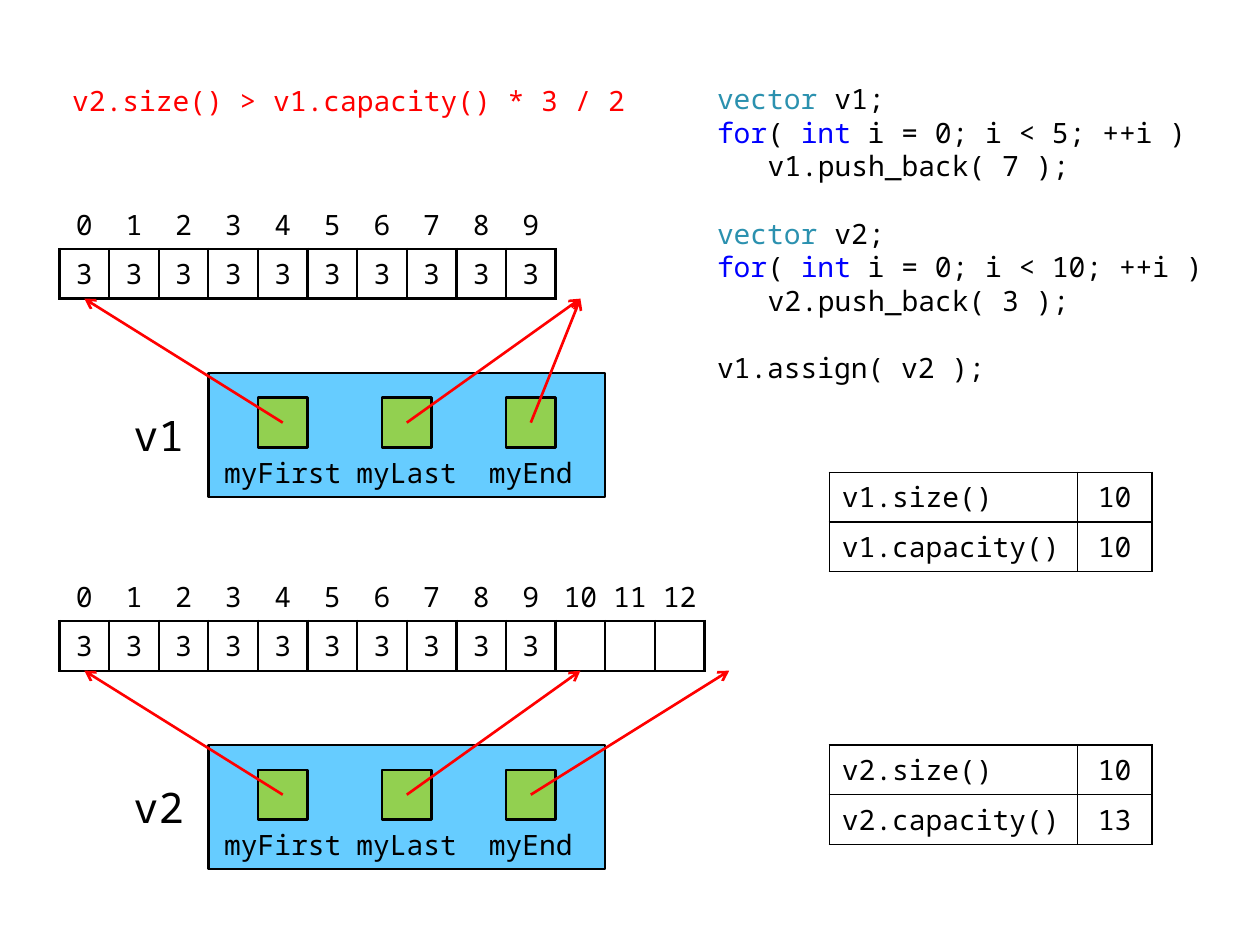
from dataclasses import dataclass
from lxml.etree import SubElement
from pptx import Presentation
from pptx.dml.color import RGBColor
from pptx.enum.shapes import MSO_CONNECTOR, MSO_SHAPE
from pptx.enum.text import MSO_ANCHOR, MSO_AUTO_SIZE, PP_ALIGN
from pptx.oxml.ns import qn
from pptx.util import Emu, Pt

CONDITION = "v2.size() > v1.capacity() * 3 / 2"
CODE = [
    {"runs": [("vector ", "type"), ("v1;", "ink")]},
    {"runs": [("for", "keyword"), ("( ", "ink"), ("int", "keyword"), (" i = 0; i < 5; ++i )", "ink")]},
    {"runs": [("v1.push_back( 7 );", "ink")], "indented": True},
    {"runs": [("vector ", "type"), ("v2;", "ink")], "gap": True},
    {"runs": [("for", "keyword"), ("( ", "ink"), ("int", "keyword"), (" i = 0; i < 10; ++i )", "ink")]},
    {"runs": [("v2.push_back( 3 );", "ink")], "indented": True},
    {"runs": [("v1.assign( v2 );", "ink")], "gap": True},
]
MEMBERS = ["myFirst", "myLast", "myEnd"]
VECTORS = [
    {"name": "v1", "values": ["3"] * 10, "capacity": 10, "targets": [0, 10, 10], "top": 402, "facts_top": 952},
    {"name": "v2", "values": ["3"] * 10, "capacity": 13, "targets": [0, 10, 13], "top": 1152, "facts_top": 1502},
]

PX = 3600
CELL = 100
ARRAY_LEFT = 120
OBJECT_LEFT = 420
MEMBER_STEP, MEMBER_WIDTH = 250, 300
FACTS_LEFT, FACTS_COLUMNS = 1672, [500, 150]
NO_STYLE = "{2D5ABB26-0587-4C30-8999-92F81FD0307C}"


@dataclass(frozen=True)
class Theme:
    font: str = "Noto Sans Mono"
    ink: str = "000000"
    type: str = "2B91AF"
    keyword: str = "0000FF"
    accent: str = "FF0000"
    object: str = "66CCFF"
    pointer: str = "92D050"
    body_size: float = 16
    name_size: float = 24
    code_line: float = 19.2
    line: float = 1.5
    thin_line: float = 1


THEME = Theme()


def px(*lengths):
    return [Emu(length * PX) for length in lengths]


def color(name):
    return RGBColor.from_string(getattr(THEME, name))


def add_run(paragraph, text, ink="ink", size=THEME.body_size):
    run = paragraph.add_run()
    run.text = text
    run.font.name = THEME.font
    run.font.size = Pt(size)
    run.font.color.rgb = color(ink)


def place(shape, left, top, width, height):
    shape.left, shape.top, shape.width, shape.height = px(left, top, width, height)
    shape.text_frame.auto_size = MSO_AUTO_SIZE.NONE
    shape.text_frame.word_wrap = True


def add_condition(slide):
    title = slide.shapes.title
    place(title, 120, 152, 1200, 100)
    title.text_frame.vertical_anchor = MSO_ANCHOR.MIDDLE
    paragraph = title.text_frame.paragraphs[0]
    paragraph.alignment = PP_ALIGN.LEFT
    add_run(paragraph, CONDITION, "accent")


def add_code(slide):
    body = slide.placeholders[1]
    place(body, 1420, 152, 1050, 650)
    frame = body.text_frame
    for index, line in enumerate(CODE):
        paragraph = frame.add_paragraph() if index else frame.paragraphs[0]
        paragraph.line_spacing = Pt(THEME.code_line)
        paragraph.space_before = Pt(THEME.code_line if line.get("gap") else 0)
        properties = paragraph._p.get_or_add_pPr()
        properties.set("marL", str(102 * PX if line.get("indented") else 0))
        properties.set("indent", "0")
        SubElement(properties, qn("a:buNone"))
        for text, ink in line["runs"]:
            add_run(paragraph, text, ink)


def add_box(slide, kind, fill, *bounds):
    box = slide.shapes.add_shape(kind, *px(*bounds))
    box.shadow.inherit = False
    box.fill.solid()
    box.fill.fore_color.rgb = color(fill)
    box.line.color.rgb = color("ink")
    box.line.width = Pt(THEME.line)


def add_label(slide, text, size, *bounds):
    label = slide.shapes.add_textbox(*px(*bounds))
    frame = label.text_frame
    frame.word_wrap = True
    frame.vertical_anchor = MSO_ANCHOR.MIDDLE
    frame.paragraphs[0].alignment = PP_ALIGN.CENTER
    add_run(frame.paragraphs[0], text, size=size)


def add_arrow(slide, *ends):
    arrow = slide.shapes.add_connector(MSO_CONNECTOR.STRAIGHT, *px(*ends))
    arrow.line.color.rgb = color("accent")
    arrow.line.width = Pt(THEME.line)
    SubElement(arrow.get_or_add_ln(), qn("a:tailEnd"), type="arrow")
    SubElement(arrow.element.spPr, qn("a:effectLst"))


def set_borders(cell, sides, width):
    properties = cell._tc.get_or_add_tcPr()
    for position, side in enumerate(sides):
        border = SubElement(properties, qn(f"a:ln{side}"), w=str(Pt(width)))
        properties.insert(position, border)
        fill = SubElement(border, qn("a:solidFill"))
        SubElement(fill, qn("a:srgbClr"), val=THEME.ink)


def add_grid(slide, left, top, columns, rows, side_margin, line, header=False, first_left=False):
    frame = slide.shapes.add_table(len(rows), len(columns), *px(left, top, sum(columns), CELL * len(rows)))
    table = frame.table
    table.first_row = table.horz_banding = False
    table._tbl.tblPr.find(qn("a:tableStyleId")).text = NO_STYLE
    for column, width in zip(table.columns, columns):
        column.width = Emu(width * PX)
    for row_index, texts in enumerate(rows):
        table.rows[row_index].height = Emu(CELL * PX)
        for column_index, text in enumerate(texts):
            cell = table.cell(row_index, column_index)
            cell.margin_left, cell.margin_right = px(side_margin, side_margin)
            cell.margin_top, cell.margin_bottom = px(10, 10)
            cell.vertical_anchor = MSO_ANCHOR.MIDDLE
            cell.fill.background()
            set_borders(cell, "B" if header and row_index == 0 else "LRTB", line)
            paragraph = cell.text_frame.paragraphs[0]
            left_aligned = first_left and column_index == 0
            paragraph.alignment = PP_ALIGN.LEFT if left_aligned else PP_ALIGN.CENTER
            if text:
                add_run(paragraph, text)


def add_vector(slide, vector):
    name, values, capacity, top = (vector[key] for key in ("name", "values", "capacity", "top"))
    array_bottom = top + 2 * CELL
    object_top = top + 350
    indexes = [str(index) for index in range(capacity)]
    slots = values + [""] * (capacity - len(values))
    add_grid(slide, ARRAY_LEFT, top, [CELL] * capacity, [indexes, slots], 15, THEME.line, header=True)
    add_label(slide, name, THEME.name_size, 220, object_top + 50, 200, 150)
    add_box(slide, MSO_SHAPE.FLOWCHART_PROCESS, "object", OBJECT_LEFT, object_top, 800, 250)
    for index, (member, target) in enumerate(zip(MEMBERS, vector["targets"])):
        left = OBJECT_LEFT + index * MEMBER_STEP
        add_label(slide, member, THEME.body_size, left, object_top + 150, MEMBER_WIDTH, CELL)
        add_box(slide, MSO_SHAPE.RECTANGLE, "pointer", left + 100, object_top + 50, CELL, CELL)
        target_x = ARRAY_LEFT + target * CELL + CELL // 2
        add_arrow(slide, left + MEMBER_WIDTH // 2, object_top + 100, target_x, array_bottom)
    facts = [[f"{name}.size()", str(len(values))], [f"{name}.capacity()", str(capacity)]]
    add_grid(slide, FACTS_LEFT, vector["facts_top"], FACTS_COLUMNS, facts, 25, THEME.thin_line, first_left=True)


def main():
    presentation = Presentation()
    presentation.slide_width, presentation.slide_height = px(2540, 1905)
    slide = presentation.slides.add_slide(presentation.slide_layouts[1])
    add_condition(slide)
    add_code(slide)
    for vector in VECTORS:
        add_vector(slide, vector)
    presentation.save("out.pptx")


if __name__ == "__main__":
    main()
